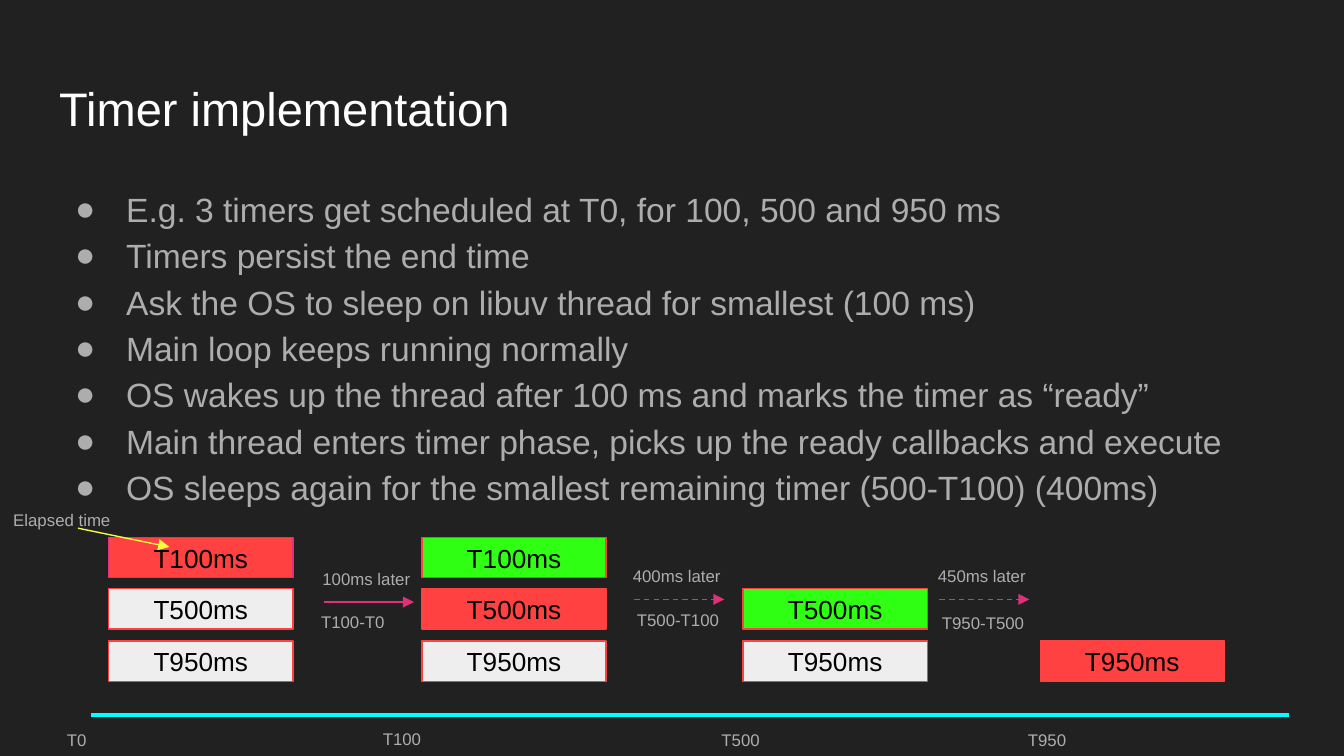
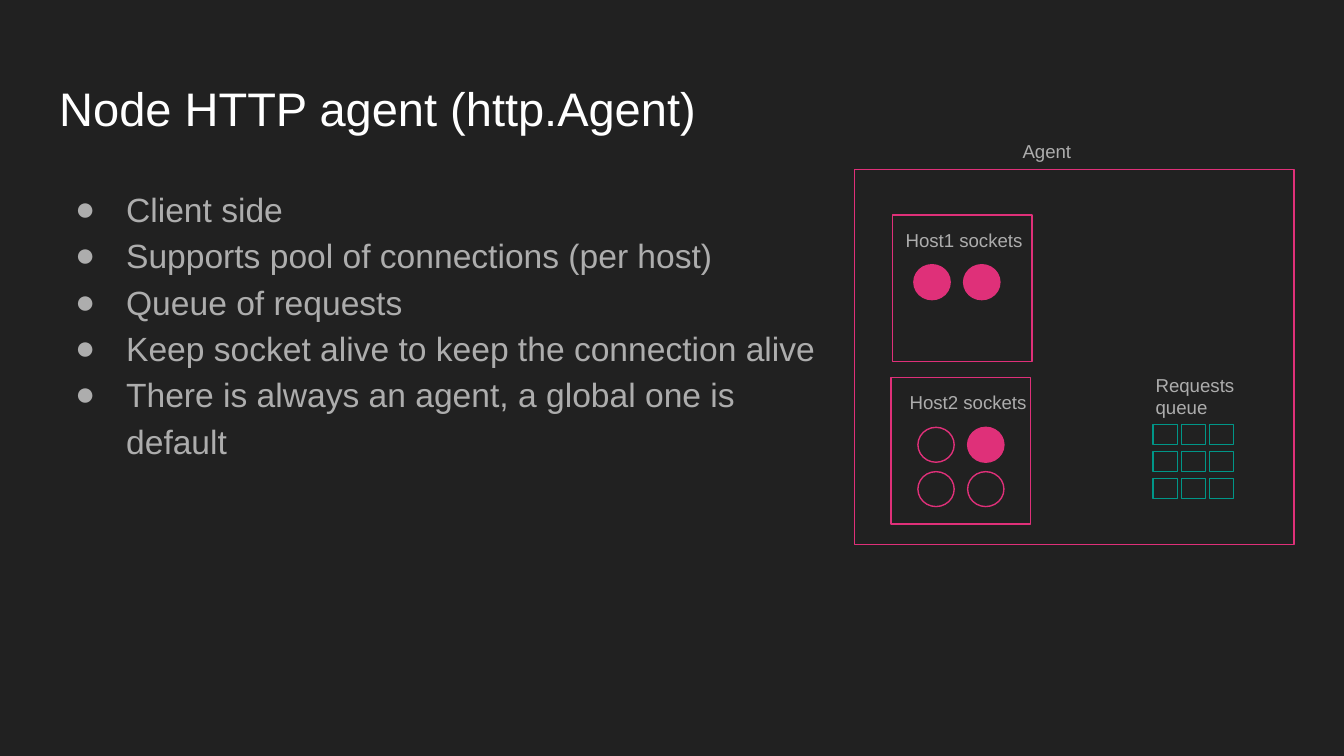
from itertools import product

from lxml.etree import SubElement
from pptx import Presentation
from pptx.dml.color import RGBColor
from pptx.enum.dml import MSO_LINE
from pptx.enum.shapes import MSO_CONNECTOR, MSO_SHAPE
from pptx.enum.text import MSO_ANCHOR, MSO_AUTO_SIZE, PP_ALIGN
from pptx.oxml.ns import qn
from pptx.util import Inches, Pt

COLORS = {
    "background": "212121", "title": "FFFFFF", "text": "ADADAD",
    "black": "000000", "pink": "DF3079", "red": "FF4141",
    "green": "2FFF12", "light": "EEEEEE", "cyan": "00FFFF",
    "yellow": "EEFF41", "teal": "009688",
}
FONT = "Arial"
FRAME = {
    "word_wrap": True, "auto_size": MSO_AUTO_SIZE.NONE,
    "vertical_anchor": MSO_ANCHOR.TOP,
    "margin_left": Inches(0.1), "margin_right": Inches(0.1),
    "margin_top": Inches(0.1), "margin_bottom": Inches(0.1),
}


def color(name):
    return RGBColor.from_string(COLORS[name])


def apply(target, values):
    for key, value in values.items():
        setattr(target, key, value)


def style_font(font, size, name):
    apply(font, {"name": FONT, "size": Pt(size), "bold": False})
    font.color.rgb = color(name)


def write(shape, text, size, name="text", align=PP_ALIGN.LEFT, **frame_values):
    frame = shape.text_frame
    apply(frame, FRAME | frame_values)
    frame.text = text
    for paragraph in frame.paragraphs:
        paragraph.alignment = align
        style_font(paragraph.font, size, name)


def add_label(slide, text, left, top, width, height, size):
    label = slide.shapes.add_textbox(*map(Inches, (left, top, width, height)))
    write(label, text, size)


def add_outline(slide, kind, left, top, width, height, line, fill=None):
    shape = slide.shapes.add_shape(kind, *map(Inches, (left, top, width, height)))
    shape.shadow.inherit = False
    if fill:
        shape.fill.solid()
        shape.fill.fore_color.rgb = color(fill)
    else:
        shape.fill.background()
    shape.line.color.rgb = color(line)
    shape.line.width = Pt(0.75)
    return shape


def add_line(slide, start, end, name, width=0.75, arrow=True, dashed=False):
    connector = slide.shapes.add_connector(
        MSO_CONNECTOR.STRAIGHT, *map(Inches, (*start, *end)))
    connector.line.color.rgb = color(name)
    connector.line.width = Pt(width)
    if dashed:
        connector.line.dash_style = MSO_LINE.DASH
    properties = connector._element.spPr
    if arrow:
        SubElement(properties.find(qn("a:ln")), qn("a:tailEnd"), type="triangle")
    SubElement(properties, qn("a:effectLst"))


def add_bullets(slide, lines, left, top, width, height):
    body = slide.shapes.add_textbox(*map(Inches, (left, top, width, height)))
    frame = body.text_frame
    apply(frame, FRAME)
    frame.text = "\n".join(lines)
    for paragraph in frame.paragraphs:
        paragraph.line_spacing = 1.15
        properties = paragraph._p.get_or_add_pPr()
        apply_indent = {"marL": Inches(0.5), "indent": Inches(-0.38)}
        for key, value in apply_indent.items():
            properties.set(key, str(value))
        bullet_color = SubElement(properties, qn("a:buClr"))
        SubElement(bullet_color, qn("a:srgbClr"), val=COLORS["text"])
        SubElement(properties, qn("a:buFont"), typeface=FONT)
        SubElement(properties, qn("a:buChar"), char="●")
        style_font(paragraph.font, 18, "text")


def new_slide(deck, heading):
    """Dark slide with the shared title style."""
    slide = deck.slides.add_slide(deck.slide_layouts[5])
    slide.background.fill.solid()
    slide.background.fill.fore_color.rgb = color("background")
    title = slide.shapes.title
    apply(title, {"left": Inches(0.34), "top": Inches(0.49),
                  "width": Inches(9.32), "height": Inches(0.63)})
    write(title, heading, 25.2, "title")
    return slide


# Timer slide regions
def draw_timer_stacks(slide, left, top):
    rows = {"T100ms": 0, "T500ms": 0.38, "T950ms": 0.77}
    stacks = [
        (0, {"T100ms": "red", "T500ms": "light", "T950ms": "light"}),
        (2.33, {"T100ms": "green", "T500ms": "red", "T950ms": "light"}),
        (4.72, {"T500ms": "green", "T950ms": "light"}),
        (6.93, {"T950ms": "red"}),
    ]
    for offset, timers in stacks:
        for timer, fill in timers.items():
            first = offset == 0 and timer == "T100ms"
            box = add_outline(slide, MSO_SHAPE.RECTANGLE, left + offset,
                              top + rows[timer], 1.37, 0.3,
                              "pink" if first else "red", fill)
            write(box, timer, 14, "black", PP_ALIGN.CENTER,
                  vertical_anchor=MSO_ANCHOR.MIDDLE)


def draw_wait(slide, left, top, delay, interval, shift, dashed):
    """One arrow with the delay above it and the interval below it."""
    add_line(slide, (left, top), (left + 0.67, top), "pink", dashed=dashed)
    add_label(slide, delay, left - 0.11, top - 0.35, 0.98, 0.3, 9)
    add_label(slide, interval, left + shift[0], top + shift[1], 0.98, 0.3, 9)


def draw_timeline(slide, left, top):
    add_line(slide, (left, top), (left + 8.91, top), "cyan", 2.25, arrow=False)
    ticks = [("T0", -0.28, 0.01), ("T100", 2.07, 0),
             ("T500", 4.59, 0.01), ("T950", 6.87, 0.01)]
    for tick, dx, dy in ticks:
        add_label(slide, tick, left + dx, top + dy, 0.53, 0.3, 9)


def build_timer_slide(deck):
    slide = new_slide(deck, "Timer implementation")
    add_bullets(slide, [
        "E.g. 3 timers get scheduled at T0, for 100, 500 and 950 ms",
        "Timers persist the end time",
        "Ask the OS to sleep on libuv thread for smallest (100 ms)",
        "Main loop keeps running normally",
        "OS wakes up the thread after 100 ms and marks the timer as “ready”",
        "Main thread enters timer phase, picks up the ready callbacks and execute",
        "OS sleeps again for the smallest remaining timer (500-T100) (400ms)",
    ], 0.34, 1.26, 9.32, 3.93)
    draw_timer_stacks(slide, 0.81, 4)
    waits = [
        (2.41, 4.48, "100ms later", "T100-T0", (-0.12, -0.03), False),
        (4.72, 4.46, "400ms later", "T500-T100", (-0.08, -0.02), True),
        (6.99, 4.46, "450ms later", "T950-T500", (-0.08, 0), True),
    ]
    for wait in waits:
        draw_wait(slide, *wait)
    draw_timeline(slide, 0.68, 5.32)
    # Pointer to the elapsed timer
    add_line(slide, (0.58, 3.93), (1.26, 4.07), "yellow")
    add_label(slide, "Elapsed time", 0, 3.69, 0.98, 0.3, 9)


# Agent slide regions
def draw_host(slide, left, top, name, name_shift, sockets_at, busy):
    """Host box with sockets in rows of two; busy ones are filled."""
    add_outline(slide, MSO_SHAPE.RECTANGLE, left, top, 1.04, 1.09, "pink")
    add_label(slide, name, left + name_shift, top, 1.1, 0.26, 10)
    for index, is_busy in enumerate(busy):
        row, column = divmod(index, 2)
        add_outline(slide, MSO_SHAPE.OVAL, left + sockets_at[0] + 0.37 * column,
                    top + sockets_at[1] + 0.33 * row, 0.27, 0.26, "pink",
                    "pink" if is_busy else None)


def draw_request_queue(slide, left, top):
    add_label(slide, "Requests queue", left, top, 0.99, 0.26, 10)
    for row, column in product(range(3), repeat=2):
        add_outline(slide, MSO_SHAPE.RECTANGLE, left + 0.08 + 0.21 * column,
                    top + 0.48 + 0.2 * row, 0.18, 0.15, "teal")


def draw_agent(slide, left, top):
    add_outline(slide, MSO_SHAPE.RECTANGLE, left, top, 3.27, 2.79, "pink")
    add_label(slide, "Agent", left + 1.15, top - 0.32, 0.99, 0.26, 10)
    draw_host(slide, left + 0.28, top + 0.34, "Host1 sockets", 0,
              (0.16, 0.37), [True, True])
    draw_host(slide, left + 0.27, top + 1.55, "Host2 sockets", 0.04,
              (0.2, 0.37), [False, True, False, False])
    draw_request_queue(slide, left + 2.14, top + 1.42)


def build_agent_slide(deck):
    slide = new_slide(deck, "Node HTTP agent (http.Agent)")
    add_bullets(slide, [
        "Client side",
        "Supports pool of connections (per host)",
        "Queue of requests",
        "Keep socket alive to keep the connection alive",
        "There is always an agent, a global one is default",
    ], 0.34, 1.26, 5.98, 3.74)
    draw_agent(slide, 6.36, 1.26)


def main():
    deck = Presentation()
    deck.slide_width = Inches(10)
    deck.slide_height = Inches(90 / 16)
    build_timer_slide(deck)
    build_agent_slide(deck)
    deck.save("out.pptx")


if __name__ == "__main__":
    main()
